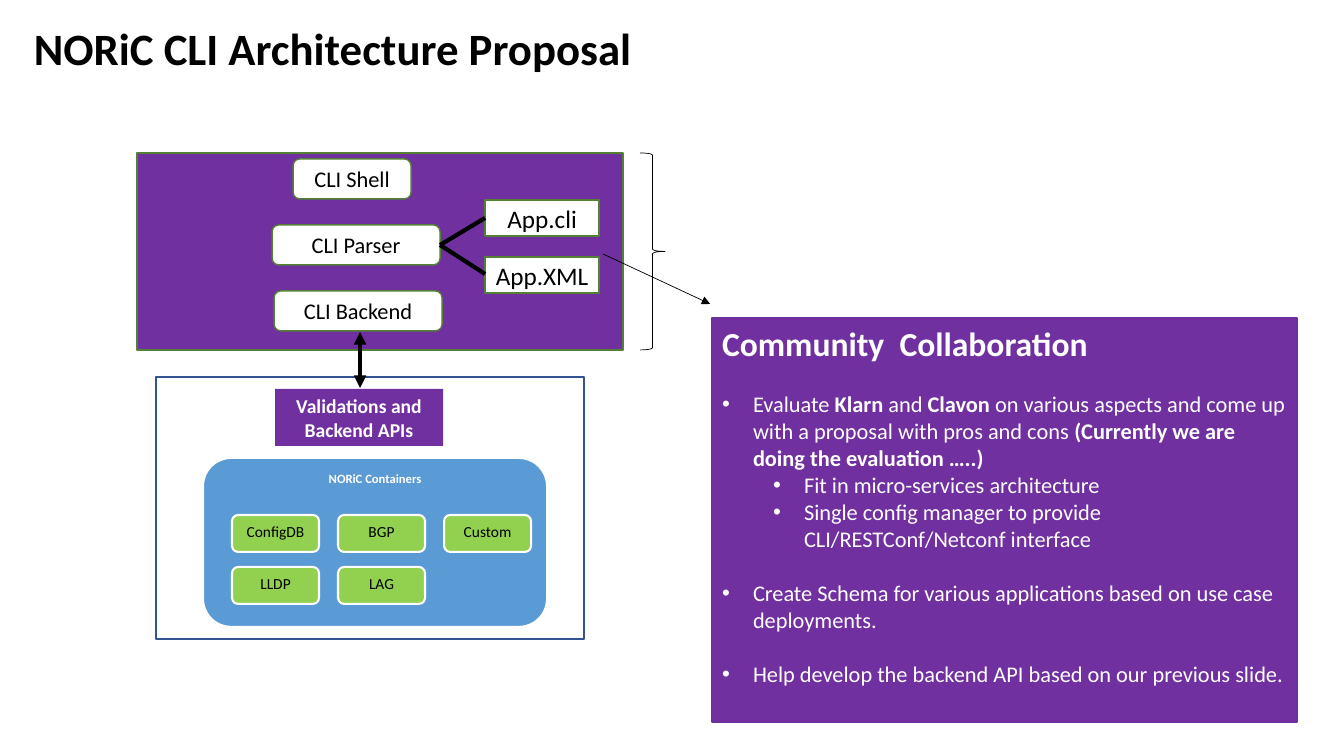
from dataclasses import dataclass
from itertools import product
from typing import NamedTuple

from pptx import Presentation, util as u
from pptx.dml.color import RGBColor
from pptx.enum import shapes, text
from pptx.oxml import ns
from lxml import etree

SCALE = 9071  # EMU per pixel
FONT = "Calibri"
PURPLE, GREEN_EDGE, LIME = "7030A0", "538035", "92D050"
WHITE, BLACK, BLUE, NAVY = "FFFFFF", "000000", "5B9BD5", "325491"
KIND = shapes.MSO_SHAPE
TOP, MIDDLE = text.MSO_ANCHOR.TOP, text.MSO_ANCHOR.MIDDLE


@dataclass
class Style:
    fill: str | None = None
    edge: str | None = None
    edge_width: float = 1
    size: int = 16
    ink: str = BLACK
    bold: bool = False
    anchor: text.MSO_ANCHOR = MIDDLE


class Box(NamedTuple):
    left: int
    top: int
    width: int
    height: int
    style: Style
    label: str = ""
    kind: shapes.MSO_SHAPE = KIND.RECTANGLE


class Link(NamedTuple):
    start: tuple[int, int]
    end: tuple[int, int]
    width: float
    arrows: tuple[str, ...] = ()


class Point(NamedTuple):
    runs: tuple[tuple[str, bool], ...]
    indent: int = 31
    gap: float = 0


def px(pixels: int) -> int:
    return u.Emu(pixels * SCALE)


def color(hex_code: str) -> RGBColor:
    return RGBColor.from_string(hex_code)


def add_run(paragraph, words: str, size: int, ink: str, bold: bool) -> None:
    run = paragraph.add_run()
    run.text = words
    run.font.name, run.font.size, run.font.bold = FONT, u.Pt(size), bold
    run.font.color.rgb = color(ink)


def draw_box(slide, box: Box):
    style = box.style
    shape = slide.shapes.add_shape(box.kind, *map(px, box[:4]))
    shape.shadow.inherit = False
    if style.fill:
        shape.fill.solid()
        shape.fill.fore_color.rgb = color(style.fill)
    else:
        shape.fill.background()
    if style.edge:
        shape.line.color.rgb = color(style.edge)
        shape.line.width = u.Pt(style.edge_width)
    else:
        shape.line.fill.background()
    shape.text_frame.word_wrap = True
    shape.text_frame.vertical_anchor = style.anchor
    if box.label:
        paragraph = shape.text_frame.paragraphs[0]
        paragraph.alignment = text.PP_ALIGN.CENTER
        add_run(paragraph, box.label, style.size, style.ink, style.bold)
    return shape


def draw_link(slide, link: Link) -> None:
    connector = slide.shapes.add_connector(
        shapes.MSO_CONNECTOR.STRAIGHT, *map(px, link.start + link.end))
    connector.line.color.rgb = color(BLACK)
    connector.line.width = u.Pt(link.width)
    for arrow in link.arrows:
        etree.SubElement(connector.line._ln, ns.qn(f"a:{arrow}"), type="triangle")
    etree.SubElement(connector._element.spPr, ns.qn("a:effectLst"))


def add_point(frame, point: Point) -> None:
    paragraph = frame.add_paragraph()
    paragraph.alignment = text.PP_ALIGN.LEFT
    paragraph.space_before = u.Pt(point.gap)
    properties = paragraph._p.get_or_add_pPr()
    properties.set("marL", str(px(point.indent)))
    properties.set("indent", str(px(-31)))
    etree.SubElement(properties, ns.qn("a:buFont"), typeface="Arial")
    etree.SubElement(properties, ns.qn("a:buChar"), char="•")
    for words, bold in point.runs:
        add_run(paragraph, words, 16, WHITE, bold)


presentation = Presentation()
presentation.slide_width, presentation.slide_height = u.Inches(13.33), u.Inches(7.5)
slide = presentation.slides.add_slide(presentation.slide_layouts[6])

# Title
title = slide.shapes.add_textbox(*map(px, (24, 23, 1221, 57))).text_frame
title.word_wrap = True
title.vertical_anchor = MIDDLE
title.paragraphs[0].line_spacing = 0.9
add_run(title.paragraphs[0], "NORiC CLI Architecture Proposal", 32, BLACK, True)

# Command line layers and the backend frame
layer = Style(WHITE, GREEN_EDGE)
app_file = Style(WHITE, GREEN_EDGE, size=18)
api = Style(PURPLE, size=14, ink=WHITE, bold=True)
container = Style(BLUE, WHITE, 1.5, 9, WHITE, True, TOP)
boxes = [
    Box(137, 153, 486, 197, Style(PURPLE, GREEN_EDGE)),
    Box(293, 159, 118, 40, layer, "CLI Shell", KIND.ROUNDED_RECTANGLE),
    Box(272, 225, 168, 40, layer, "CLI Parser", KIND.ROUNDED_RECTANGLE),
    Box(274, 291, 168, 40, layer, "CLI Backend", KIND.ROUNDED_RECTANGLE),
    Box(485, 200, 114, 36, app_file, "App.cli"),
    Box(485, 257, 114, 36, app_file, "App.XML"),
    Box(640, 153, 25, 197, Style(edge=BLACK, edge_width=0.5), kind=KIND.RIGHT_BRACE),
    Box(156, 377, 428, 262, Style(edge=NAVY)),
    Box(275, 389, 168, 57, api, "Validations and Backend APIs"),
    Box(203, 458, 344, 169, container, "NORiC Containers", KIND.ROUNDED_RECTANGLE),
]

# Services in a grid of three columns
service = Style(LIME, WHITE, 1.5, 11, anchor=TOP)
services = ["ConfigDB", "BGP", "Custom", "LLDP", "LAG"]
for name, (row, column) in zip(services, product(range(2), range(3))):
    boxes.append(Box(232 + 106 * column, 515 + 52 * row, 87, 37,
                     service, name, KIND.ROUNDED_RECTANGLE))
for box in boxes:
    draw_box(slide, box)

# Lines and arrows
for link in (
    Link((440, 245), (485, 218), 3),
    Link((440, 245), (485, 274), 3),
    Link((360, 332), (360, 388), 3, ("headEnd", "tailEnd")),
    Link((603, 254), (710, 304), 0.5, ("tailEnd",)),
):
    draw_link(slide, link)

# Collaboration panel
panel = draw_box(slide, Box(712, 318, 585, 404, Style(PURPLE, PURPLE, anchor=TOP)))
heading = panel.text_frame.paragraphs[0]
heading.alignment = text.PP_ALIGN.LEFT
add_run(heading, "Community  Collaboration", 24, WHITE, True)
LINE_GAP = 19.5
for point in (
    Point((("Evaluate ", False), ("Klarn", True), (" and ", False), ("Clavon", True),
           (" on various aspects and come up with a proposal with pros and cons ", False),
           ("(Currently we are doing the evaluation …..)", True)), gap=LINE_GAP),
    Point((("Fit in micro-services architecture", False),), 82),
    Point((("Single config manager to provide CLI/RESTConf/Netconf interface", False),), 82),
    Point((("Create Schema for various applications based on use case deployments.",
            False),), gap=LINE_GAP),
    Point((("Help develop the backend API based on our previous slide.", False),),
          gap=LINE_GAP),
):
    add_point(panel.text_frame, point)

presentation.save("out.pptx")
